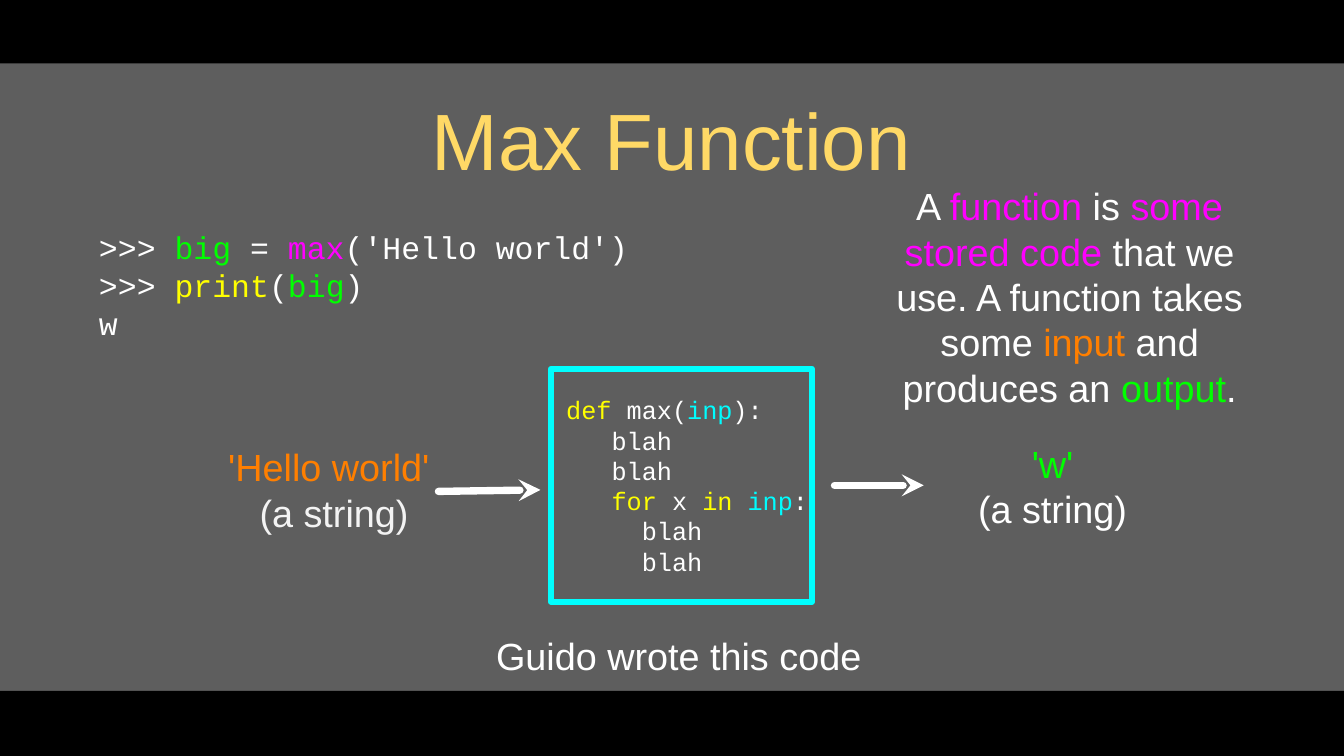
from dataclasses import dataclass
from lxml.etree import SubElement
from pptx import Presentation
from pptx.dml.color import RGBColor
from pptx.enum.shapes import MSO_CONNECTOR, MSO_SHAPE
from pptx.enum.text import MSO_ANCHOR, PP_ALIGN
from pptx.oxml.ns import qn
from pptx.util import Inches, Pt


@dataclass(frozen=True)
class Theme:
    """Colours, fonts and type sizes."""
    back: str = "5E5E5E"
    black: str = "000000"
    white: str = "FFFFFF"
    pale: str = "F3F3F3"
    gold: str = "FFD966"
    green: str = "00FF00"
    pink: str = "FF00FF"
    yellow: str = "FFFF00"
    orange: str = "FF7F00"
    cyan: str = "00FFFF"
    aqua: str = "00FDFF"
    sans: str = "Arial"
    mono: str = "Courier New"
    title: int = 76
    body: int = 36
    shell: int = 30
    code: int = 24
    lead: float = 1.2


T = Theme()
WIDE, HIGH = 17.78, 10


def rgb(code):
    """Turn a hex code into a colour."""
    return RGBColor.from_string(code)


def write(frame, lines, size=T.body, font=T.sans, align=PP_ALIGN.CENTER, pads=()):
    """Fill a frame with lines, each a list of (text, colour) runs."""
    frame.word_wrap = True
    frame.vertical_anchor = MSO_ANCHOR.MIDDLE
    frame.margin_left = frame.margin_right = 0
    frame.margin_top = frame.margin_bottom = 0
    for i, line in enumerate(lines):
        para = frame.paragraphs[0] if i == 0 else frame.add_paragraph()
        para.alignment = align
        para.line_spacing = Pt(size * T.lead)
        if pads:
            props = para._p.get_or_add_pPr()
            props.set("marL", str(Inches(pads[i])))
            props.set("indent", "0")
        for text, color in line:
            run = para.add_run()
            run.text = text
            run.font.name = font
            run.font.size = Pt(size)
            run.font.color.rgb = rgb(color)


def label(slide, box, lines, **form):
    """Place a text box."""
    area = slide.shapes.add_textbox(*map(Inches, box))
    write(area.text_frame, lines, **form)


def block(slide, box, fill=None, edge=None):
    """Place a plain rectangle and return it."""
    rect = slide.shapes.add_shape(MSO_SHAPE.RECTANGLE, *map(Inches, box))
    rect.shadow.inherit = False
    if fill:
        rect.fill.solid()
        rect.fill.fore_color.rgb = rgb(fill)
    else:
        rect.fill.background()
    if edge:
        rect.line.color.rgb = rgb(edge)
        rect.line.width = Pt(6)
        SubElement(rect.line._get_or_add_ln(), qn("a:round"))
    else:
        rect.line.fill.background()
    return rect


def arrow(slide, start, end):
    """Draw a thick round-capped arrow from start to end."""
    link = slide.shapes.add_connector(
        MSO_CONNECTOR.STRAIGHT, *map(Inches, start + end))
    link.line.color.rgb = rgb(T.white)
    link.line.width = Pt(7)
    line = link.line._get_or_add_ln()
    line.set("cap", "rnd")
    SubElement(line, qn("a:round"))
    SubElement(line, qn("a:tailEnd"), type="stealth")
    SubElement(link._element.spPr, qn("a:effectLst"))


def frame(slide):
    """Paint the background, the two bars and the title."""
    slide.background.fill.solid()
    slide.background.fill.fore_color.rgb = rgb(T.back)
    for top, tall in ((0, 0.84), (9.14, 0.86)):
        block(slide, (0, top, WIDE, tall), fill=T.black)
    label(slide, (1.26, 0.88, 15.24, 1.9), [[("Max Function", T.gold)]],
          size=T.title)


def shell(slide, box):
    """Show the prompt session."""
    label(slide, box, [
        [(">>> ", T.white), ("big", T.green), (" = ", T.white),
         ("max", T.pink), ("('Hello world')", T.white)],
        [(">>> ", T.white), ("print", T.yellow), ("(", T.white),
         ("big", T.green), (")", T.white)],
        [("w", T.white)],
    ], size=T.shell, font=T.mono, align=PP_ALIGN.LEFT)


def about(slide, box):
    """Explain what a function is."""
    label(slide, box, [[
        ("A ", T.white), ("function", T.pink), (" is ", T.white),
        ("some stored code", T.pink),
        (" that we use. A function takes some ", T.white),
        ("input", T.orange), (" and produces an ", T.white),
        ("output", T.green), (".", T.white)]])


def body(slide, box):
    """Draw the function box with its indented code."""
    blah = [("blah", T.white)]
    lines = [
        [("def", T.yellow), (" max(", T.white), ("inp", T.aqua), ("):", T.white)],
        blah, blah,
        [("for", T.yellow), (" x ", T.white), ("in ", T.yellow),
         ("inp", T.aqua), (":", T.white)],
        blah, blah]
    step = 0.2  # width of one code character
    pads = [step * n for n in (1, 4, 4, 4, 6, 6)]
    write(block(slide, box, edge=T.cyan).text_frame, lines, size=T.code,
          font=T.mono, align=PP_ALIGN.LEFT, pads=pads)


def flow(slide, left, top):
    """Lay out input, function box and output with arrows between."""
    body(slide, (left, top, 3.45, 3.08))
    label(slide, (left - 4.43, top + 0.97, 3.12, 1.25),
          [[("'Hello world' ", T.orange)], [("(a string)", T.pale)]])
    label(slide, (left + 5.44, top + 0.92, 2.39, 1.25),
          [[("'w'", T.green)], [("(a string)", T.white)]])
    arrow(slide, (left - 1.49, top + 1.62), (left - 0.14, top + 1.6))
    arrow(slide, (left + 3.75, top + 1.54), (left + 4.93, top + 1.54))
    label(slide, (left - 0.78, top + 3.45, 4.94, 0.68),
          [[("Guido wrote this code", T.white)]])


def main():
    """Build and save the deck."""
    deck = Presentation()
    deck.slide_width, deck.slide_height = Inches(WIDE), Inches(HIGH)
    slide = deck.slides.add_slide(deck.slide_layouts[6])
    frame(slide)
    shell(slide, (1.31, 2.86, 7.8, 1.82))
    flow(slide, 7.29, 4.88)
    about(slide, (11.45, 2.48, 5.4, 2.88))
    deck.save("out.pptx")


main()
